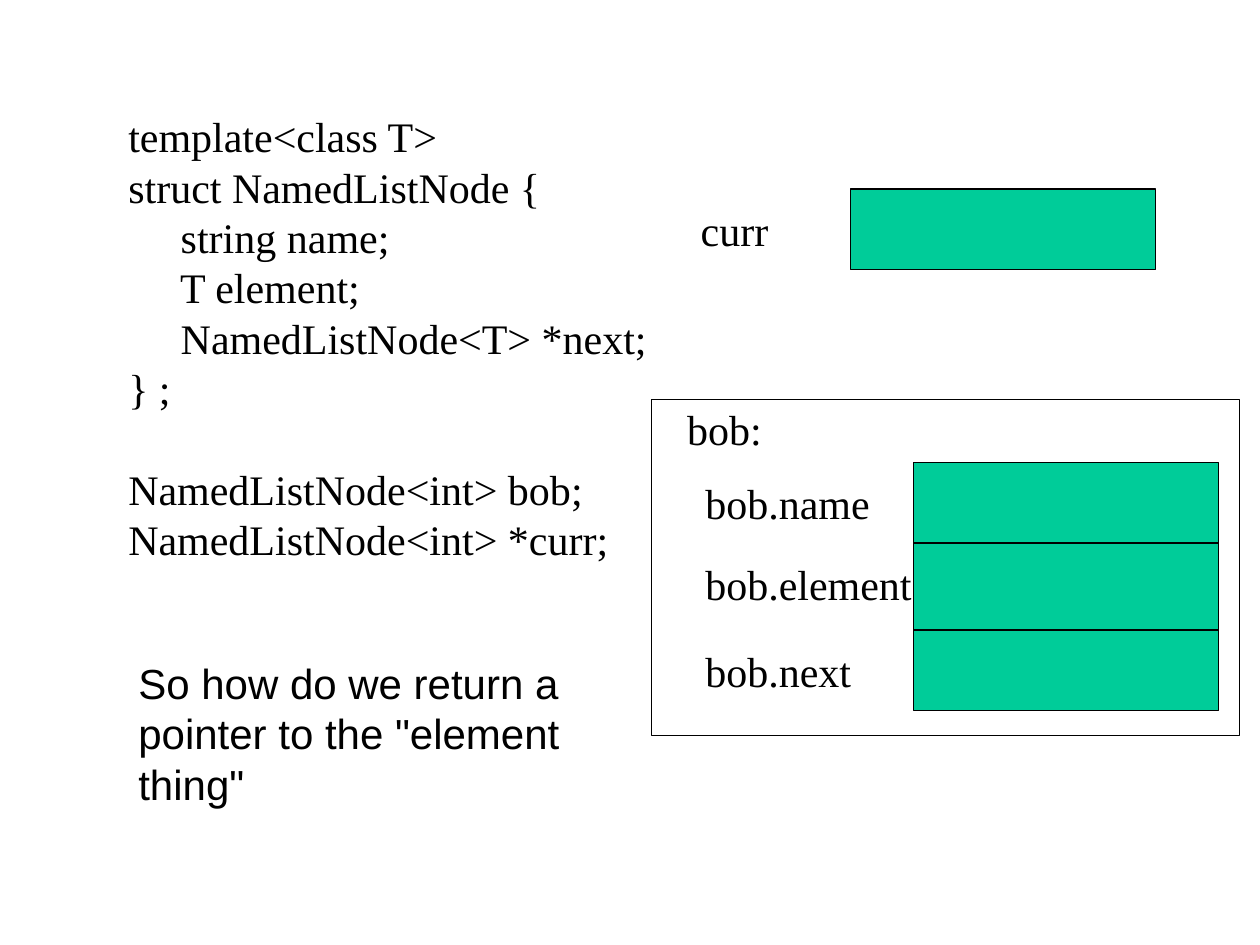
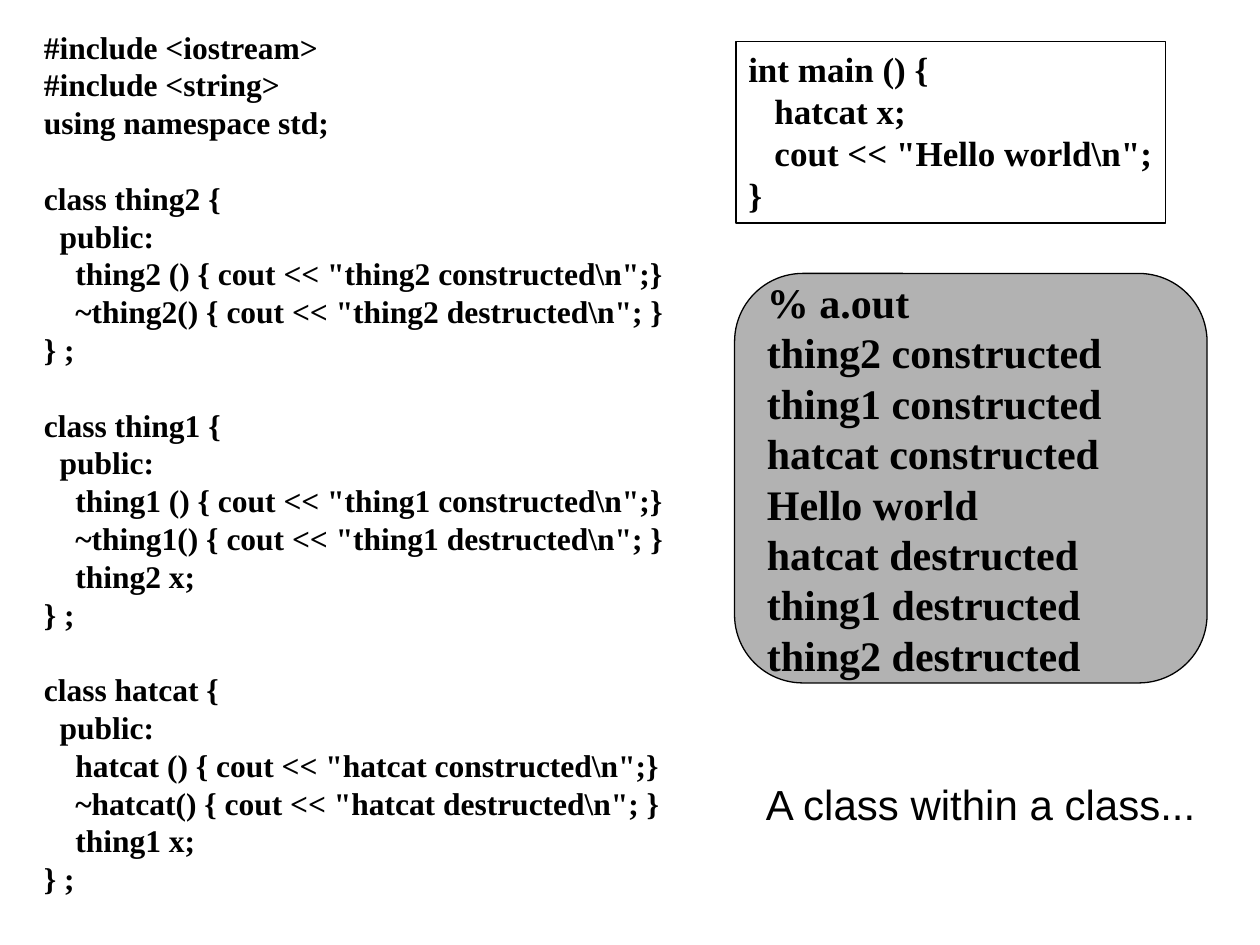
from pptx import Presentation
from pptx.dml.color import RGBColor
from pptx.enum.shapes import MSO_SHAPE
from pptx.enum.text import MSO_ANCHOR, PP_ALIGN
from pptx.util import Inches, Pt

RECT = MSO_SHAPE.RECTANGLE
ROUND = MSO_SHAPE.ROUNDED_RECTANGLE
TOP, MID = MSO_ANCHOR.TOP, MSO_ANCHOR.MIDDLE
LEFT, MIDDLE = PP_ALIGN.LEFT, PP_ALIGN.CENTER
SERIF, SANS = "Times New Roman", "Arial"
BLACK, GREEN, GRAY = "000000", "00CC99", "B2B2B2"
ROW = 0.64


def write(slide, text, at, shape=None, size=24, font=SERIF, bold=False,
          align=LEFT, anchor=TOP):
    if shape is None:
        shape = slide.shapes.add_textbox(*map(Inches, at))
    frame = shape.text_frame
    frame.word_wrap = True
    frame.vertical_anchor = anchor
    pitch = Pt(size * 1.2)
    lines = text.split("\n")
    frame.text = "\n".join(line for line in lines if line)
    starts = [i for i, line in enumerate(lines) if line]
    for para, i in zip(frame.paragraphs, starts):
        para.alignment = align
        para.line_spacing = pitch
        if i and not lines[i - 1]:
            para.space_before = pitch
        para.font.size = Pt(size)
        para.font.name = font
        para.font.bold = bold
        para.font.color.rgb = RGBColor.from_string(BLACK)


def draw(slide, at, fill=None, kind=RECT):
    shape = slide.shapes.add_shape(kind, *map(Inches, at))
    shape.shadow.inherit = False
    if fill:
        shape.fill.solid()
        shape.fill.fore_color.rgb = RGBColor.from_string(fill)
    else:
        shape.fill.background()
    shape.line.color.rgb = RGBColor.from_string(BLACK)
    shape.line.width = Pt(0.75)
    return shape


deck = Presentation()
deck.slide_width, deck.slide_height = Inches(10), Inches(7.5)
blank = deck.slide_layouts[6]

slide = deck.slides.add_slide(blank)
node = r"""template<class T>
struct NamedListNode {
     string name;
     T element;
     NamedListNode<T> *next;
} ;

NamedListNode<int> bob;
NamedListNode<int> *curr;"""
write(slide, node, (0.92, 0.83, 4.4, 3.7))

top = 3.67
for field, high in (("name", ROW), ("element", 0.69), ("next", ROW)):
    draw(slide, (7.25, top, 2.42, high), GREEN)
    write(slide, f"bob.{field}", (5.5, top, 1.9, ROW), anchor=MID)
    top += high

write(slide, 'So how do we return a pointer to the "element thing"',
      (1, 5.17, 3.83, 1.3), font=SANS)
draw(slide, (6.75, 1.5, 2.42, ROW), GREEN)
draw(slide, (5.17, 3.17, 4.67, 2.67))
for name, left, top in (("curr", 5.08, 1.5), ("bob:", 5, 3.08)):
    write(slide, name, (left, top, 1.5, ROW), align=MIDDLE, anchor=MID)

slide = deck.slides.add_slide(blank)
code = r"""#include <iostream>
#include <string>
using namespace std;

class thing2 {
  public:
    thing2 () { cout << "thing2 constructed\n";}
    ~thing2() { cout << "thing2 destructed\n"; }
} ;

class thing1 {
  public:
    thing1 () { cout << "thing1 constructed\n";}
    ~thing1() { cout << "thing1 destructed\n"; }
    thing2 x;
} ;

class hatcat {
  public:
    hatcat () { cout << "hatcat constructed\n";}
    ~hatcat() { cout << "hatcat destructed\n"; }
    thing1 x;
} ;"""
write(slide, code, (0.25, 0.17, 5.3, 7), size=18, bold=True)

main = r"""int main () {
   hatcat x;
   cout << "Hello world\n";
}"""
at = (5.84, 0.33, 3.41, 1.44)
write(slide, main, at, draw(slide, at), size=20, bold=True)

output = """% a.out
thing2 constructed
thing1 constructed
hatcat constructed
Hello world
hatcat destructed
thing1 destructed
thing2 destructed"""
at = (5.83, 2.17, 3.75, 3.25)
write(slide, output, at, draw(slide, at, GRAY, ROUND), bold=True, anchor=MID)
write(slide, "A class within a class...", (5.98, 6.13, 3.7, 0.5), font=SANS)

deck.save("out.pptx")
